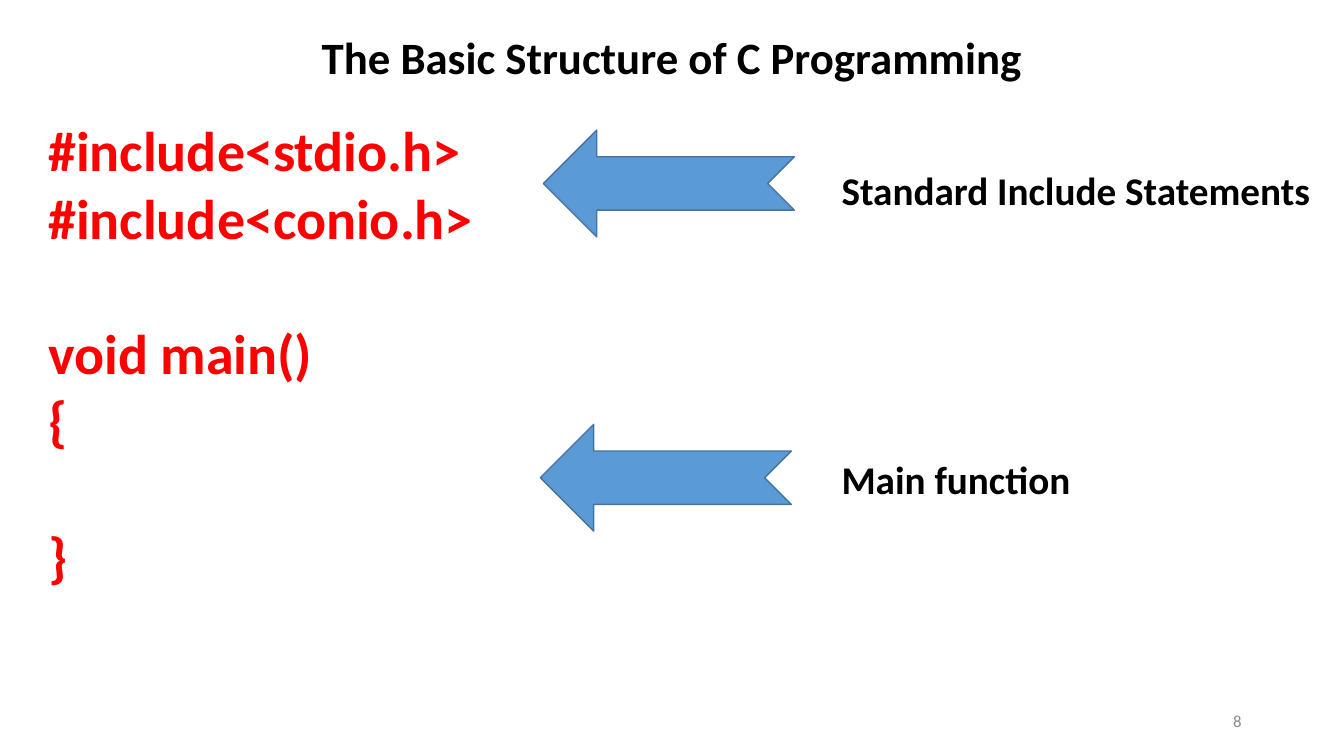
from pptx import Presentation
from pptx.dml.color import RGBColor
from pptx.enum.shapes import MSO_SHAPE
from pptx.enum.text import MSO_ANCHOR, PP_ALIGN
from pptx.util import Pt


def color(hex_code):
    return RGBColor.from_string(hex_code)


class StructureSlide:
    font_name = "Calibri"
    black = "000000"
    red = "FF0000"
    gray = "8C8C8C"
    arrow_fill = "5B9BD5"
    arrow_line = "43739E"

    def __init__(self, presentation):
        self.slide = presentation.slides.add_slide(presentation.slide_layouts[6])

    def text(self, lines, left, top, width, height, size, hex_code, bold=True,
             align=PP_ALIGN.LEFT, anchor=MSO_ANCHOR.TOP, line_spacing=1.0):
        box = self.slide.shapes.add_textbox(Pt(left), Pt(top), Pt(width), Pt(height))
        frame = box.text_frame
        frame.word_wrap = True
        frame.vertical_anchor = anchor
        frame.text = "\n".join(lines)
        for paragraph in frame.paragraphs:
            paragraph.alignment = align
            paragraph.line_spacing = line_spacing
            for run in paragraph.runs:
                run.font.name = self.font_name
                run.font.size = Pt(size)
                run.font.bold = bold
                run.font.color.rgb = color(hex_code)
        return frame

    def title(self, wording):
        self.text([wording], 0, 16.5, 960, 52.5, 32, self.black,
                  align=PP_ALIGN.CENTER, anchor=MSO_ANCHOR.MIDDLE, line_spacing=0.9)

    def code(self, lines, section_starts, gap):
        frame = self.text(lines, 27.4, 79.2, 588, 346.3, 40, self.red)
        for index in section_starts:
            frame.paragraphs[index].space_before = Pt(gap)

    def arrow(self, left, top):
        arrow = self.slide.shapes.add_shape(
            MSO_SHAPE.NOTCHED_RIGHT_ARROW, Pt(left), Pt(top), Pt(179.3), Pt(76.3))
        arrow.rotation = 180
        arrow.shadow.inherit = False
        arrow.fill.solid()
        arrow.fill.fore_color.rgb = color(self.arrow_fill)
        arrow.line.color.rgb = color(self.arrow_line)
        arrow.line.width = Pt(1)

    def label(self, wording, top):
        self.text([wording], 594, top, 350, 41, 28, self.black)

    def page_number(self, number):
        self.text([number], 678, 500.5, 216, 28.8, 12, self.gray, bold=False,
                  align=PP_ALIGN.RIGHT, anchor=MSO_ANCHOR.MIDDLE)


def main():
    presentation = Presentation()
    presentation.slide_width = Pt(960)
    presentation.slide_height = Pt(540)

    structure = StructureSlide(presentation)
    structure.title("The Basic Structure of C Programming")
    structure.page_number("8")
    program = ["#include<stdio.h>", "#include<conio.h>", "void main()", "{", "}"]
    structure.code(program, section_starts=(2, 4), gap=48.8)

    for wording, label_top, arrow_left, arrow_top in (
        ("Standard Include Statements", 115.2, 388.1, 92.9),
        ("Main function", 321.8, 385.9, 303.1),
    ):
        structure.arrow(arrow_left, arrow_top)
        structure.label(wording, label_top)

    presentation.save("out.pptx")


if __name__ == "__main__":
    main()
